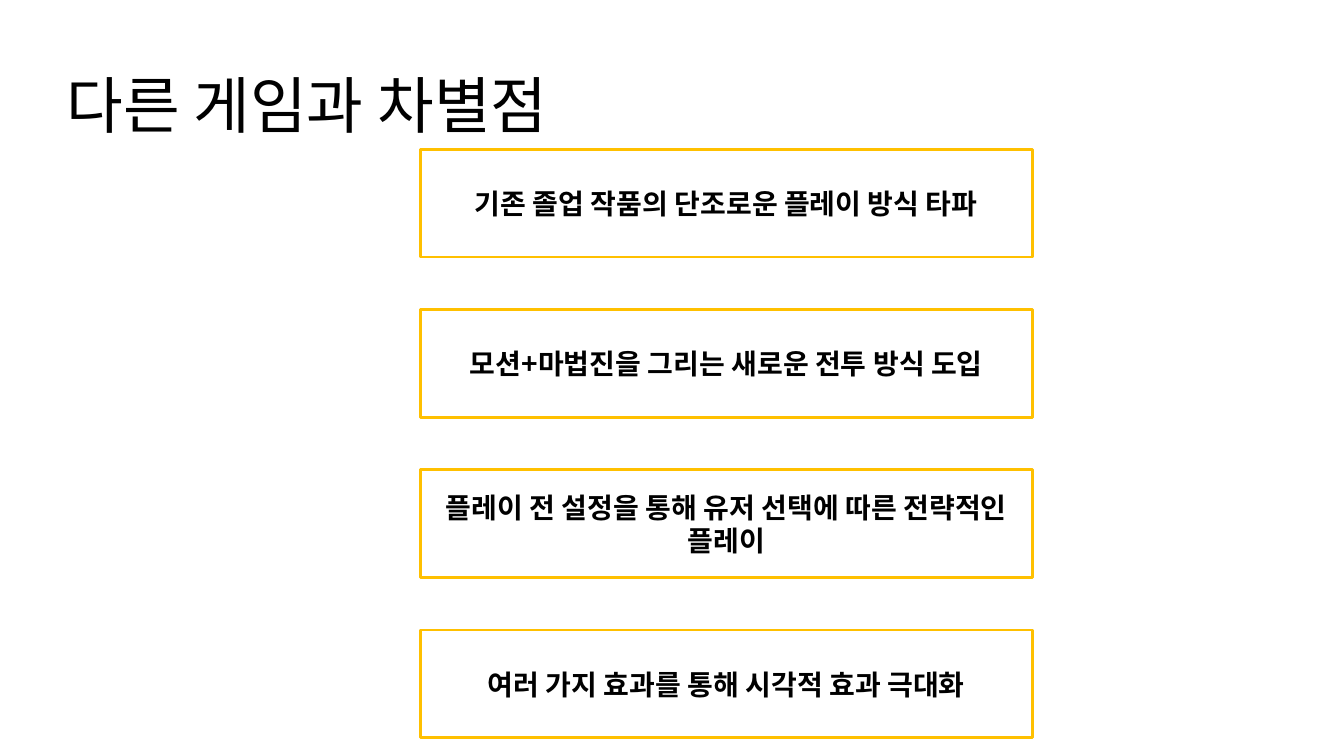
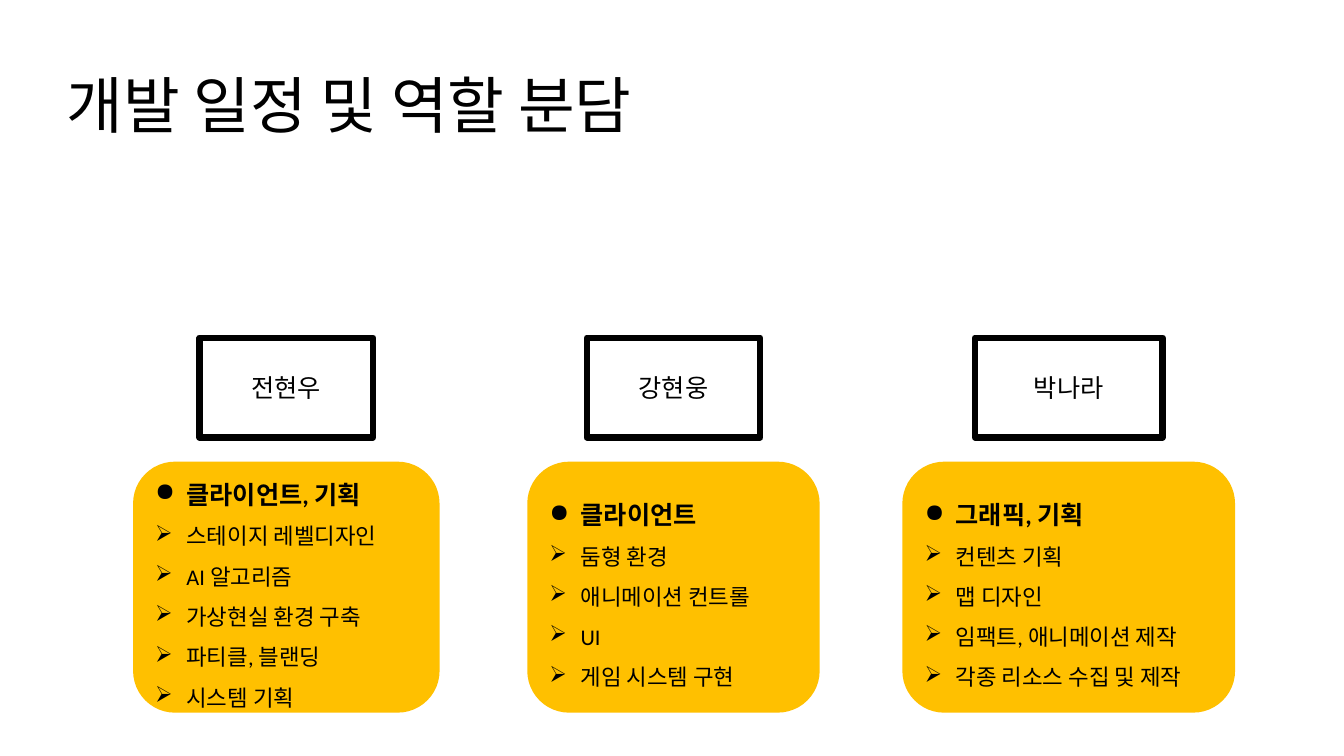
from dataclasses import dataclass

from lxml.etree import SubElement
from pptx import Presentation
from pptx.dml.color import RGBColor
from pptx.enum.shapes import MSO_SHAPE
from pptx.enum.text import MSO_ANCHOR, PP_ALIGN
from pptx.oxml.ns import qn
from pptx.shapes.autoshape import Shape
from pptx.slide import Slide
from pptx.text.text import _Paragraph as Paragraph
from pptx.util import Inches, Pt


@dataclass(frozen=True)
class Theme:
    ink: RGBColor = RGBColor(0, 0, 0)
    paper: RGBColor = RGBColor(255, 255, 255)
    gold: RGBColor = RGBColor(255, 192, 0)
    head: str = "Roboto"
    body: str = "Calibri"
    hangul: str = "Noto Sans CJK KR"
    title: int = 44
    point: int = 20
    name: int = 18
    task: int = 16


@dataclass(frozen=True)
class Box:
    left: float
    top: float
    width: float
    height: float


@dataclass(frozen=True)
class Member:
    name: str
    left: float
    width: float
    frame: float
    job: str
    tasks: tuple[str, ...]


THEME = Theme()

POINTS = (
    "기존 졸업 작품의 단조로운 플레이 방식 타파",
    "모션+마법진을 그리는 새로운 전투 방식 도입",
    "플레이 전 설정을 통해 유저 선택에 따른 전략적인 플레이",
    "여러 가지 효과를 통해 시각적 효과 극대화",
)

TEAM = (
    Member("전현우", 1.32, 3.04, 1.72, "클라이언트, 기획",
           ("스테이지 레벨디자인", "AI 알고리즘", "가상현실 환경 구축",
            "파티클, 블랜딩", "시스템 기획")),
    Member("강현웅", 5.23, 2.9, 1.72, "클라이언트",
           ("둠형 환경", "애니메이션 컨트롤", "UI", "게임 시스템 구현")),
    Member("박나라", 8.95, 3.3, 1.86, "그래픽, 기획",
           ("컨텐츠 기획", "맵 디자인", "임팩트, 애니메이션 제작",
            "각종 리소스 수집 및 제작")),
)


def add_run(para: Paragraph, text: str, size: int, face: str, bold: bool = False) -> None:
    run = para.add_run()
    run.text = text
    font = run.font
    font.size = Pt(size)
    font.bold = bold
    font.name = face
    font.color.rgb = THEME.ink
    SubElement(run._r.get_or_add_rPr(), qn("a:ea"), typeface=THEME.hangul)


def add_title(slide: Slide, text: str) -> None:
    box = slide.shapes.add_textbox(Inches(0.56), Inches(0.35), Inches(11.5), Inches(1.45))
    frame = box.text_frame
    frame.word_wrap = True
    frame.vertical_anchor = MSO_ANCHOR.MIDDLE
    para = frame.paragraphs[0]
    para.line_spacing = 0.9
    add_run(para, text, THEME.title, THEME.head)


def add_panel(slide: Slide, kind: MSO_SHAPE, box: Box, fill: RGBColor,
              edge: RGBColor | None = None, weight: float = 0) -> Shape:
    panel = slide.shapes.add_shape(kind, Inches(box.left), Inches(box.top),
                                   Inches(box.width), Inches(box.height))
    panel.shadow.inherit = False
    panel.fill.solid()
    panel.fill.fore_color.rgb = fill
    if edge is None:
        panel.line.fill.background()
    else:
        panel.line.color.rgb = edge
        panel.line.width = Pt(weight)
    panel.text_frame.word_wrap = True
    panel.text_frame.vertical_anchor = MSO_ANCHOR.MIDDLE
    return panel


def add_label(slide: Slide, box: Box, text: str, edge: RGBColor, weight: float,
              size: int, face: str, bold: bool = False) -> None:
    """Draw a white framed box with one centred line of text."""
    panel = add_panel(slide, MSO_SHAPE.RECTANGLE, box, THEME.paper, edge, weight)
    para = panel.text_frame.paragraphs[0]
    para.alignment = PP_ALIGN.CENTER
    add_run(para, text, size, face, bold)


def set_bullet(para: Paragraph, mark: str) -> None:
    props = para._p.get_or_add_pPr()
    indent = Inches(0.31)
    props.set("marL", str(indent))
    props.set("indent", str(-indent))
    SubElement(props, qn("a:buChar"), char=mark)
    para.alignment = PP_ALIGN.LEFT
    para.line_spacing = 1.5


def add_member(slide: Slide, member: Member) -> None:
    left = member.left + (member.width - member.frame) / 2
    add_label(slide, Box(left, 3.35, member.frame, 0.99), member.name,
              THEME.ink, 4.5, THEME.name, THEME.body)
    card = add_panel(slide, MSO_SHAPE.ROUNDED_RECTANGLE,
                     Box(member.left, 4.58, member.width, 2.49), THEME.gold)
    frame = card.text_frame
    para = frame.paragraphs[0]
    set_bullet(para, "●")
    add_run(para, member.job, THEME.name, THEME.body, bold=True)
    for task in member.tasks:
        para = frame.add_paragraph()
        set_bullet(para, "➢")
        add_run(para, task, THEME.task, THEME.body)


def main() -> None:
    deck = Presentation()
    deck.slide_width = Inches(13.33)
    deck.slide_height = Inches(7.5)
    blank = deck.slide_layouts[6]

    slide = deck.slides.add_slide(blank)
    add_title(slide, "다른 게임과 차별점")
    for row, text in enumerate(POINTS):
        add_label(slide, Box(4.17, 1.48 + 1.59 * row, 6.07, 1.07), text,
                  THEME.gold, 2, THEME.point, THEME.hangul, bold=True)

    slide = deck.slides.add_slide(blank)
    add_title(slide, "개발 일정 및 역할 분담")
    for member in TEAM:
        add_member(slide, member)

    deck.save("out.pptx")


if __name__ == "__main__":
    main()
